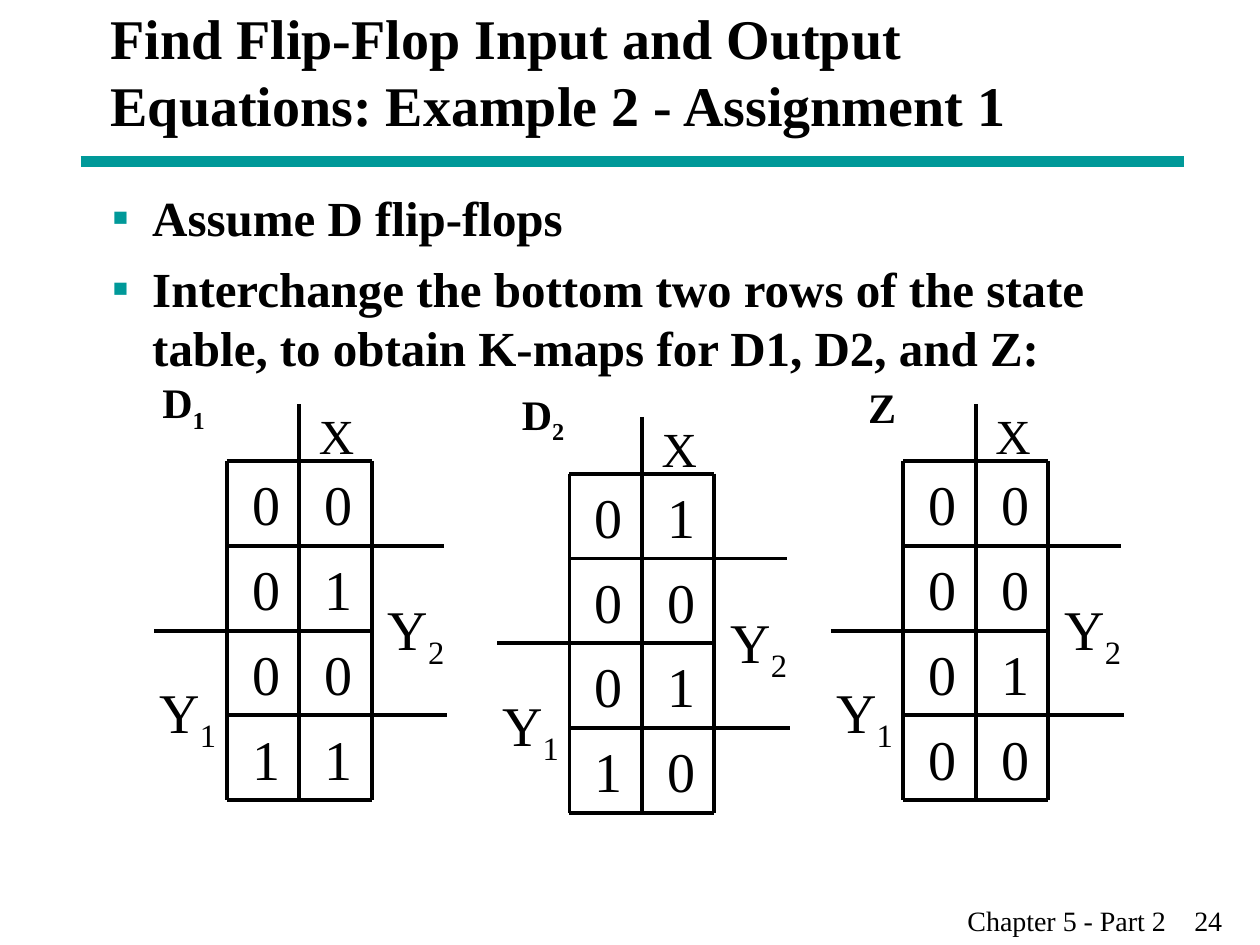
from lxml import etree
from pptx import Presentation
from pptx.dml.color import RGBColor
from pptx.enum.shapes import MSO_CONNECTOR
from pptx.enum.text import MSO_ANCHOR
from pptx.oxml.ns import qn
from pptx.util import Inches, Pt

STRAIGHT = MSO_CONNECTOR.STRAIGHT
TOP, MIDDLE = MSO_ANCHOR.TOP, MSO_ANCHOR.MIDDLE
FONT = "Times New Roman"
COLORS = {"ink": "000000", "teal": "009999"}
WIDE, HIGH = 10, 7.5

RULES = [
    (0, 0, 2, 0), (0, 1, 3, 1), (-1, 2, 2, 2), (0, 3, 3.04, 3), (0, 4, 2, 4),
    (0, 0, 0, 4), (1, -0.67, 1, 4), (2, 0, 2, 4),
]
AXES = [("Y_2", 2.05, 1.5, 32), ("Y_1", -1.1, 2.48, 32), ("X", 1.1, -0.73, 28)]
MAPS = [
    ("D_1", (-1.06, -1.07), (1.8, 3.66), ["00", "01", "00", "11"]),
    ("D_2", (-0.83, -1.08), (4.52, 3.76), ["01", "00", "01", "10"]),
    ("Z", (-0.66, -1.01), (7.17, 3.66), ["00", "00", "01", "00"]),
]
POINTS = [
    "Assume D flip-flops",
    "Interchange the bottom two rows of the state table, "
    "to obtain K-maps for D1, D2, and Z:",
]


def add_text(shapes, box, *lines, size=32, bold=False, anchor=TOP, wrap=True,
             bullet=None, gap=0, tab=None):
    """Place lines of text in a box; an underscore starts a subscript."""
    frame = shapes.add_textbox(*map(Inches, box)).text_frame
    frame.word_wrap = wrap
    frame.vertical_anchor = anchor
    for i, line in enumerate(lines):
        para = frame.paragraphs[0] if i == 0 else frame.add_paragraph()
        if i:
            para.space_before = Pt(gap)
        props = para._p.get_or_add_pPr()
        if bullet:
            add_bullet(props, bullet)
        if tab:
            stops = etree.SubElement(props, qn("a:tabLst"))
            etree.SubElement(stops, qn("a:tab"), pos=str(Inches(tab)), algn="l")
        for j, part in enumerate(line.split("_")):
            run = para.add_run()
            run.text = part
            run.font.name = FONT
            run.font.size = Pt(size)
            run.font.bold = bold
            run.font.color.rgb = RGBColor.from_string(COLORS["ink"])
            if j:
                run._r.get_or_add_rPr().set("baseline", "-25000")


def add_bullet(props, mark):
    """Give a paragraph a teal bullet with a hanging indent."""
    props.set("marL", str(Inches(0.32)))
    props.set("indent", str(-Inches(0.32)))
    color = etree.SubElement(props, qn("a:buClr"))
    etree.SubElement(color, qn("a:srgbClr"), val=COLORS["teal"])
    etree.SubElement(props, qn("a:buFont"), typeface=FONT)
    etree.SubElement(props, qn("a:buChar"), char=mark)


def add_line(shapes, ends, color="ink", width=2.25):
    """Draw a straight line between two points."""
    line = shapes.add_connector(STRAIGHT, *map(Inches, ends))
    line.line.color.rgb = RGBColor.from_string(COLORS[color])
    line.line.width = Pt(width)
    etree.SubElement(line._element.spPr, qn("a:effectLst"))


def add_header(shapes, box):
    """Place the title and the teal rule below it."""
    x, y, w, h = box
    add_line(shapes, (0.064 * WIDE, 1.28, 0.94 * WIDE, 1.28), "teal", 6)
    add_text(shapes, (x, y, w, h),
             "Find Flip-Flop Input and Output Equations: Example 2 - Assignment 1",
             bold=True, anchor=MIDDLE)


def add_map(shapes, box, name, shift, rows):
    """Draw one K-map whose grid of two columns and four rows fills the box."""
    left, top, w, h = box
    col, row = w / 2, h / 4
    group = shapes.add_group_shape().shapes

    def spot(c, r):
        """Turn a column and a row into a point."""
        return left + c * col, top + r * row

    for c, r, c2, r2 in RULES:
        add_line(group, spot(c, r) + spot(c2, r2))
    for text, c, r, size in AXES:
        add_text(group, spot(c, r) + (0.65, 0.71), text, size=size, wrap=False)
    for r, digits in enumerate(rows):
        for c, digit in enumerate(digits):
            add_text(group, spot(c + 0.18, r + 0.03) + (0.4, 0.64), digit)
    add_text(shapes, spot(*shift) + (0.61, 0.56), name, size=24, bold=True)


def add_footer(shapes, box):
    """Place the chapter name and the slide number."""
    add_text(shapes, box, "Chapter 5 - Part 2\t24", size=16, tab=1.8)


def main():
    """Build the slide and save it."""
    deck = Presentation()
    deck.slide_width, deck.slide_height = Inches(WIDE), Inches(HIGH)
    shapes = deck.slides.add_slide(deck.slide_layouts[6]).shapes
    add_header(shapes, (0.78, 0, 0.85 * WIDE, 0.15 * HIGH))
    add_footer(shapes, (7.58, 0.95 * HIGH, 2.42, 0.05 * HIGH))
    for name, shift, start, rows in MAPS:
        add_map(shapes, start + (1.15, 2.69), name, shift, rows)
    add_text(shapes, (0.79, 1.44, 0.85 * WIDE, 5.5), *POINTS,
             size=28, bold=True, bullet="▪", gap=7)
    deck.save("out.pptx")


if __name__ == "__main__":
    main()
